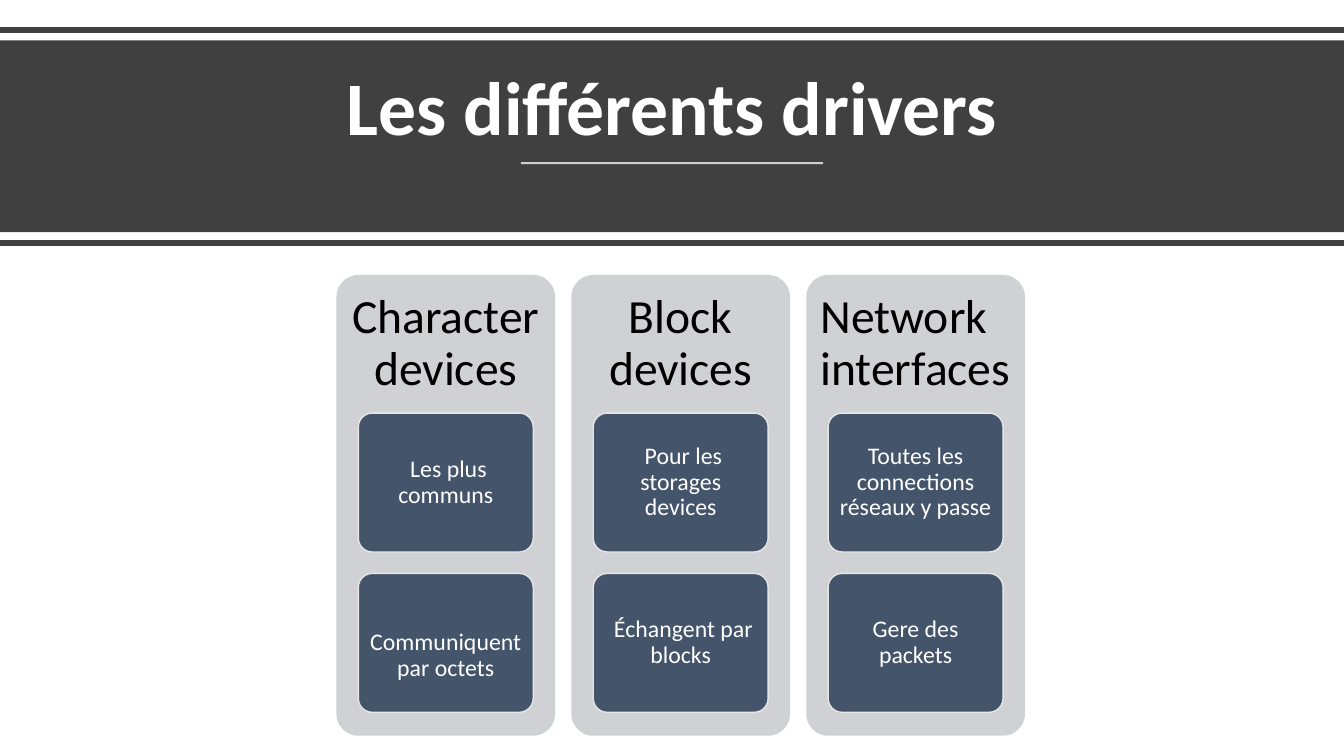
from lxml import etree
from pptx import Presentation
from pptx.dml.color import RGBColor
from pptx.enum.shapes import MSO_CONNECTOR as Wire, MSO_SHAPE as Form
from pptx.enum.text import MSO_ANCHOR as Anchor, PP_ALIGN as Align
from pptx.oxml.ns import qn
from pptx.util import Cm, Pt

WIDE, HIGH = 33.87, 19.05
DARK, WHITE, BLACK = "404040", "FFFFFF", "000000"
GREY, NAVY, EDGE = "CFD1D4", "44546A", "E7E6E6"

GROUPS = [
    ("Character devices", Align.CENTER,
     [" Les plus communs", " Communiquent par octets"]),
    ("Block devices", Align.CENTER,
     [" Pour les storages devices", " Échangent par blocks"]),
    ("Network interfaces", Align.LEFT,
     ["Toutes les connections réseaux y passe", "Gere des packets"]),
]


def tint(code):
    """Turn a hex string into a colour."""
    return RGBColor.from_string(code)


def block(slide, form, box, fill, edge=None):
    """Add a filled shape in a box given in centimetres."""
    shape = slide.shapes.add_shape(form, *map(Cm, box))
    shape.shadow.inherit = False
    shape.fill.solid()
    shape.fill.fore_color.rgb = tint(fill)
    if form == Form.ROUNDED_RECTANGLE:
        shape.adjustments[0] = 0.1
    if edge:
        shape.line.color.rgb = tint(edge)
        shape.line.width = Pt(1)
    else:
        shape.line.fill.background()
    return shape


def rule(slide, left, top, width, color, size, alpha=None):
    """Add a level line, see-through if alpha is given in percent."""
    line = slide.shapes.add_connector(
        Wire.STRAIGHT, Cm(left), Cm(top), Cm(left + width), Cm(top))
    line.line.color.rgb = tint(color)
    line.line.width = Pt(size)
    props = line._element.spPr
    etree.SubElement(props, qn("a:effectLst"))
    if alpha:
        shade = props.find(".//" + qn("a:srgbClr"))
        etree.SubElement(shade, qn("a:alpha"), val=str(alpha * 1000))


def write(shape, text, size, color, pad, anchor=Anchor.MIDDLE,
          align=Align.CENTER, bold=False):
    """Set one paragraph in a shape, with side and top padding."""
    frame = shape.text_frame
    frame.word_wrap = True
    frame.vertical_anchor = anchor
    frame.margin_left = frame.margin_right = Cm(pad[0])
    frame.margin_top = frame.margin_bottom = Cm(pad[1])
    para = frame.paragraphs[0]
    para.alignment = align
    para.line_spacing = 0.9
    run = para.add_run()
    run.text = text
    run.font.name = "Calibri"
    run.font.size = Pt(size)
    run.font.bold = bold
    run.font.color.rgb = tint(color)


def banner(slide, box, title):
    """Draw the dark title band with the lines around it."""
    left, top, width, height = box
    rule(slide, left, top - 0.26, width, DARK, 4)
    block(slide, Form.RECTANGLE, box, DARK)
    area = slide.shapes.add_textbox(
        Cm(left + 1.47), Cm(top + 0.35), Cm(width - 2.94), Cm(2.59))
    write(area, title, 54, WHITE, (0.25, 0.13), Anchor.BOTTOM, bold=True)
    rule(slide, left + (width - 7.62) / 2, top + 3.09, 7.62, WHITE, 1.5, 75)
    rule(slide, left, top + height + 0.27, width, DARK, 4)


def column(slide, box, head, align, cards):
    """Draw one group panel with its heading and stacked cards."""
    left, top, width, height = box
    block(slide, Form.ROUNDED_RECTANGLE, box, GREY)
    area = slide.shapes.add_textbox(
        Cm(left), Cm(top), Cm(width), Cm(height * 0.3))
    write(area, head, 34, BLACK, (0.36, 0.36), align=align)
    for row, text in enumerate(cards):
        spot = (left + width * 0.1, top + 3.48 + row * 4.04,
                width * 0.8, 3.5)
        card = block(slide, Form.ROUNDED_RECTANGLE, spot, NAVY, EDGE)
        write(card, text, 17, WHITE, (0.13, 0.1))


def main():
    """Build the slide and save it."""
    deck = Presentation()
    deck.slide_width, deck.slide_height = Cm(WIDE), Cm(HIGH)
    slide = deck.slides.add_slide(deck.slide_layouts[6])
    banner(slide, (0, 1.02, WIDE, 4.83), "Les différents drivers")
    for col, group in enumerate(GROUPS):
        column(slide, (8.48 + col * 5.92, 6.93, 5.51, 11.61), *group)
    deck.save("out.pptx")


if __name__ == "__main__":
    main()
